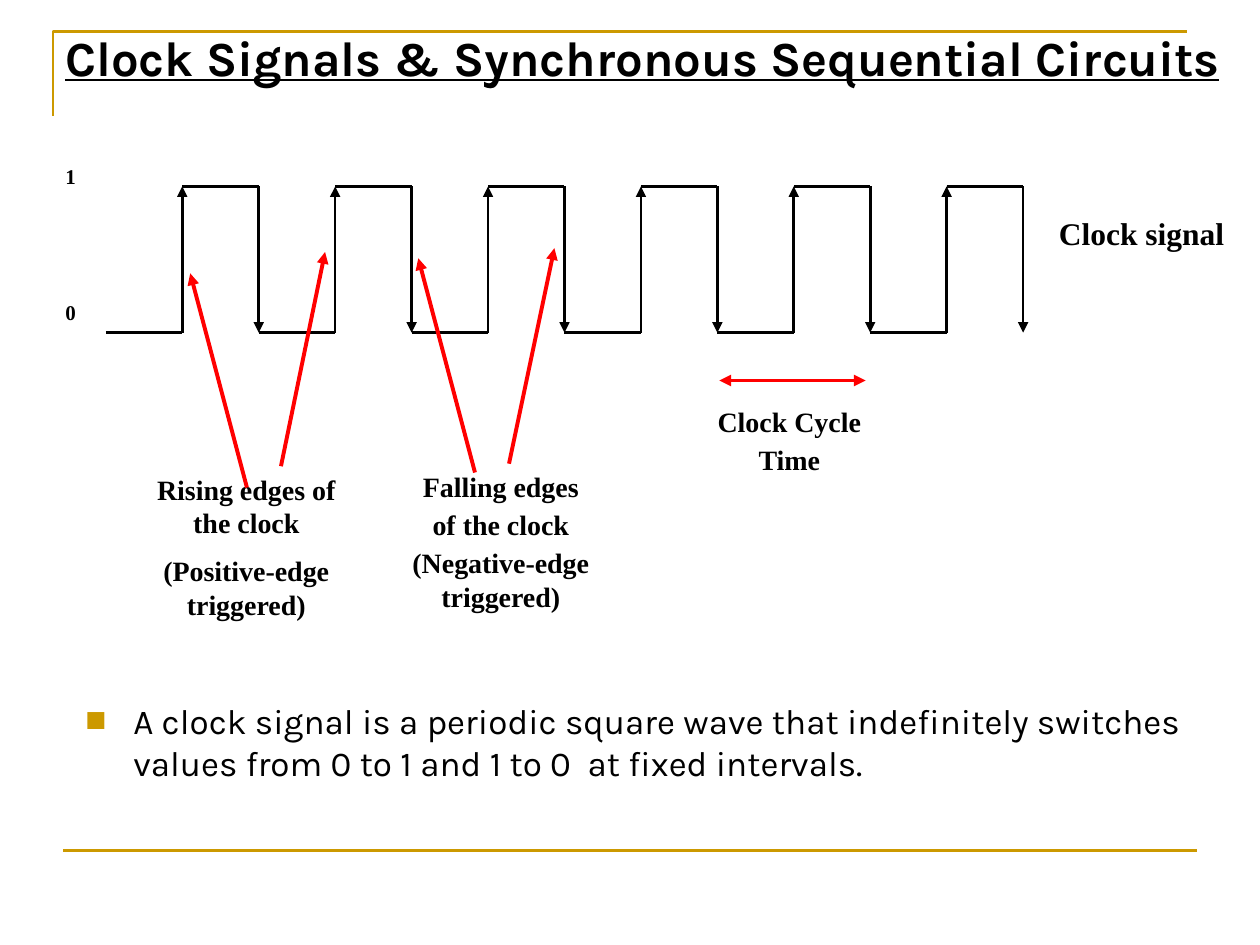
from lxml import etree
from pptx import Presentation
from pptx import util as u
from pptx.dml.color import RGBColor
from pptx.enum import shapes, text
from pptx.oxml.ns import qn

BLACK = RGBColor(0x00, 0x00, 0x00)
RED = RGBColor(0xFF, 0x00, 0x00)
GOLD = RGBColor(0xCC, 0x99, 0x00)

TITLE = dict(name="Karla", size=u.Pt(28), bold=True, underline=True)
BODY = dict(name="Karla", size=u.Pt(20))
LABEL = dict(name="Times New Roman", size=u.Pt(16), bold=True)
SIGNAL = dict(LABEL, size=u.Pt(18))
LEVEL = dict(LABEL, size=u.Pt(12))

LEFT, CENTER = text.PP_ALIGN.LEFT, text.PP_ALIGN.CENTER


class SlideBuilder:
    def __init__(self, page):
        self.page = page

    def line(self, start, end, color=BLACK, width=1.5, head=False, tail=False):
        """Straight line; head is an arrow at the start, tail at the end."""
        points = [u.Inches(value) for value in (*start, *end)]
        line = self.page.shapes.add_connector(
            shapes.MSO_CONNECTOR.STRAIGHT, *points)
        line.line.color.rgb = color
        line.line.width = u.Pt(width)
        outline = line.line._get_or_add_ln()
        for tag, wanted in (("a:headEnd", head), ("a:tailEnd", tail)):
            if wanted:
                etree.SubElement(outline, qn(tag), type="triangle")
        etree.SubElement(line._element.spPr, qn("a:effectLst"))

    def outline(self, points, color, width=1.5):
        """Open line through several points."""
        corners = [(u.Inches(x), u.Inches(y)) for x, y in points]
        builder = self.page.shapes.build_freeform(*corners[0])
        builder.add_line_segments(corners[1:], close=False)
        shape = builder.convert_to_shape()
        shape.shadow.inherit = False
        shape.fill.background()
        shape.line.color.rgb = color
        shape.line.width = u.Pt(width)

    def text(self, place, lines, style, align=CENTER, gap=0):
        """Text box with one paragraph per line, gap points apart."""
        box = self.page.shapes.add_textbox(*[u.Inches(v) for v in place])
        frame = box.text_frame
        frame.word_wrap = True
        for index, words in enumerate(lines):
            para = frame.paragraphs[0] if index == 0 else frame.add_paragraph()
            para.alignment = align
            if index:
                para.space_before = u.Pt(gap)
            span = para.add_run()
            span.text = words
            span.font.color.rgb = BLACK
            for key, value in style.items():
                setattr(span.font, key, value)
        return box

    def bullet(self, place, words, style, color, indent):
        """Text box with one square-bulleted paragraph."""
        box = self.text(place, [words], style, LEFT)
        props = box.text_frame.paragraphs[0]._p.get_or_add_pPr()
        props.set("marL", str(u.Inches(indent)))
        props.set("indent", str(-u.Inches(indent)))
        tint = etree.SubElement(props, qn("a:buClr"))
        etree.SubElement(tint, qn("a:srgbClr"), val=str(color))
        etree.SubElement(props, qn("a:buFont"), typeface="Times New Roman")
        etree.SubElement(props, qn("a:buChar"), char="■")


def draw_clock(slide):
    left, high, low = 0.84, 1.48, 2.64
    cycles = 6
    half = (8.12 - left) / (2 * cycles)
    for cycle in range(cycles):
        start = left + 2 * cycle * half
        rise, fall = start + half, start + 2 * half
        slide.line((start, low), (rise, low))
        slide.line((rise, high), (fall, high))
        slide.line((rise, high), (rise, low), head=True)
        slide.line((fall, high), (fall, low), tail=True)


def main():
    deck = Presentation()
    deck.slide_width, deck.slide_height = u.Inches(10), u.Inches(7.5)
    slide = SlideBuilder(deck.slides.add_slide(deck.slide_layouts[6]))

    # Frame lines
    slide.outline([(0.42, 0.92), (0.42, 0.25), (9.42, 0.25)], GOLD)
    slide.line((0.5, 6.75), (9.5, 6.75), GOLD)

    # Title and body
    slide.text((0.42, 0.17, 9.58, 1.26),
               ["Clock Signals & Synchronous Sequential Circuits"], TITLE, LEFT)
    slide.bullet((0.58, 5.5, 9.33, 1.17),
                 "A clock signal is a periodic square wave that indefinitely "
                 "switches values from 0 to 1 and 1 to 0  at fixed intervals.",
                 BODY, GOLD, 0.38)

    # Square wave
    draw_clock(slide)

    # Labels
    slide.text((1.06, 3.7, 1.79, 1.3),
               ["Rising edges of the clock", "(Positive-edge triggered)"],
               LABEL, gap=8)
    slide.text((2.99, 3.68, 1.97, 1.25),
               ["Falling edges", "of the clock", "(Negative-edge triggered)"],
               LABEL, gap=2.4)
    slide.text((5.28, 3.16, 1.97, 0.67), ["Clock Cycle", "Time"],
               LABEL, gap=2.4)
    slide.text((8.12, 1.65, 1.88, 0.4), ["Clock signal"], SIGNAL)
    for level, top in (("1", 1.25), ("0", 2.33)):
        slide.text((0.42, top, 0.28, 0.3), [level], LEVEL, LEFT)

    # Pointers to the edges
    for start, end in (((1.96, 3.87), (1.51, 2.17)),
                       ((2.23, 3.7), (2.58, 2)),
                       ((3.77, 3.75), (3.32, 2.05)),
                       ((4.04, 3.68), (4.4, 1.97))):
        slide.line(start, end, RED, 2.25, tail=True)

    # Cycle time span
    slide.line((5.71, 3.02), (6.87, 3.02), RED, 2.25, head=True, tail=True)

    deck.save("out.pptx")


if __name__ == "__main__":
    main()
